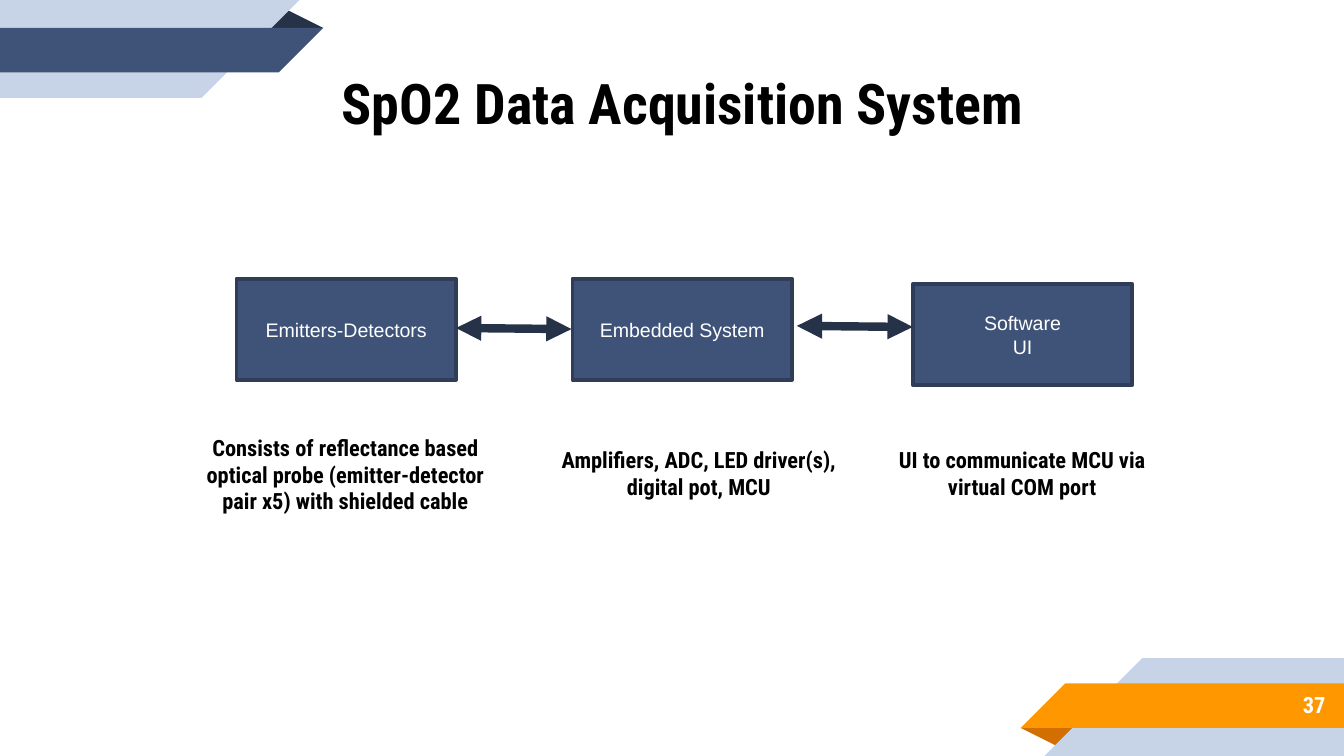
from lxml.etree import SubElement
from pptx import Presentation
from pptx.dml.color import RGBColor
from pptx.enum.shapes import MSO_CONNECTOR as Connector, MSO_SHAPE as Shape
from pptx.enum.text import MSO_ANCHOR as Anchor, MSO_AUTO_SIZE as AutoSize, PP_ALIGN as Align
from pptx.oxml.ns import qn
from pptx.util import Cm, Pt

# All lengths are in centimetres
SLIDE_W, SLIDE_H = 25.4, 14.29
COLORS = {
    "navy": "3F5378", "navy_edge": "2F3D59", "navy_dark": "263248",
    "pale": "C7D3E6", "orange": "FF9800", "orange_dark": "D26F00",
    "white": "FFFFFF", "black": "000000",
}
HEADING_FONT, LABEL_FONT = "Roboto Condensed", "Arial"

TITLE = "SpO2 Data Acquisition System"
PAGE_NUMBER = "37"
BLOCK_W, BLOCK_H = 4.15, 1.91
NOTE_W = 5.72
STAGES = [
    {"label": ["Emitters-Detectors"], "block": (4.47, 5.27),
     "note": "Consists of reflectance based optical probe "
             "(emitter-detector pair x5) with shielded cable",
     "note_box": (3.67, 8.1, NOTE_W, 1.73)},
    {"label": ["Embedded System"], "block": (10.82, 5.27),
     "note": "Amplifiers, ADC, LED driver(s), digital pot, MCU",
     "note_box": (10.35, 8.34, NOTE_W, 1.22)},
    {"label": ["Software", "UI"], "block": (17.25, 5.37),
     "note": "UI to communicate MCU via virtual COM port",
     "note_box": (16.46, 8.34, NOTE_W, 1.22)},
]
ARROWS = [((8.62, 6.2), (10.8, 6.22)), ((15.06, 6.16), (17.25, 6.18))]

# Corner ribbon, back to front; the lower corner is the same turned half round
RIBBON = [
    [(5.03, 0.53), (5.45, 0.2), (6.11, 0.53)],
    [(0, 0), (5.66, 0), (3.81, 1.85), (0, 1.85)],
    [(0, 0.53), (6.11, 0.53), (5.27, 1.37), (0, 1.37)],
]
TOP_COLORS = ["navy_dark", "pale", "navy"]
BOTTOM_COLORS = ["orange_dark", "pale", "orange"]


def rgb(name):
    return RGBColor.from_string(COLORS[name])


def write(shape, *lines, size, font=HEADING_FONT, color="black", bold=True,
          align=Align.CENTER, anchor=Anchor.TOP, insets=(0.18, 0.1)):
    """Fill a shape with one paragraph per line; insets are (sides, top and bottom)."""
    frame = shape.text_frame
    frame.word_wrap = True
    frame.auto_size = AutoSize.NONE
    frame.vertical_anchor = anchor
    frame.margin_left = frame.margin_right = Cm(insets[0])
    frame.margin_top = frame.margin_bottom = Cm(insets[1])
    frame.text = "\n".join(lines)
    for paragraph in frame.paragraphs:
        paragraph.alignment = align
        run_font = paragraph.runs[0].font
        run_font.name, run_font.size, run_font.bold = font, Pt(size), bold
        run_font.color.rgb = rgb(color)


def add_text(slide, box, text, **text_format):
    write(slide.shapes.add_textbox(*map(Cm, box)), text, **text_format)


def add_ribbon(slide, colors, turned=False):
    for outline, color in zip(RIBBON, colors):
        if turned:
            outline = [(SLIDE_W - x, SLIDE_H - y) for x, y in outline]
        start, *rest = [(Cm(x), Cm(y)) for x, y in outline]
        builder = slide.shapes.build_freeform(*start)
        builder.add_line_segments(rest, close=True)
        band = builder.convert_to_shape()
        band.shadow.inherit = False
        band.fill.solid()
        band.fill.fore_color.rgb = rgb(color)
        band.line.fill.background()


def add_block(slide, left, top, label):
    block = slide.shapes.add_shape(
        Shape.RECTANGLE, Cm(left), Cm(top), Cm(BLOCK_W), Cm(BLOCK_H))
    block.shadow.inherit = False
    block.fill.solid()
    block.fill.fore_color.rgb = rgb("navy")
    block.line.color.rgb = rgb("navy_edge")
    block.line.width = Pt(2)
    write(block, *label, size=10.5, font=LABEL_FONT, color="white",
          bold=False, anchor=Anchor.MIDDLE)


def add_double_arrow(slide, start, end):
    arrow = slide.shapes.add_connector(
        Connector.STRAIGHT, *map(Cm, start), *map(Cm, end))
    arrow.line.color.rgb = rgb("navy_dark")
    arrow.line.width = Pt(4.5)
    properties = arrow._element.spPr
    outline = properties.find(qn("a:ln"))
    for tag in ("a:headEnd", "a:tailEnd"):
        SubElement(outline, qn(tag), type="triangle")
    SubElement(properties, qn("a:effectLst"))


def main():
    deck = Presentation()
    deck.slide_width, deck.slide_height = Cm(SLIDE_W), Cm(SLIDE_H)
    slide = deck.slides.add_slide(deck.slide_layouts[5])

    add_ribbon(slide, TOP_COLORS)
    add_ribbon(slide, BOTTOM_COLORS, turned=True)

    title = slide.shapes.title
    title.left, title.top, title.width, title.height = map(Cm, (4.62, 1.19, 16.56, 1.47))
    write(title, TITLE, size=30)

    for stage in STAGES:
        add_block(slide, *stage["block"], stage["label"])
        add_text(slide, stage["note_box"], stage["note"], size=12)
    for start, end in ARROWS:
        add_double_arrow(slide, start, end)

    add_text(slide, (21.16, 12.88, 4.14, 0.89), PAGE_NUMBER, size=12, color="white",
             align=Align.RIGHT, anchor=Anchor.MIDDLE, insets=(0.25, 0.25))
    deck.save("out.pptx")


if __name__ == "__main__":
    main()
